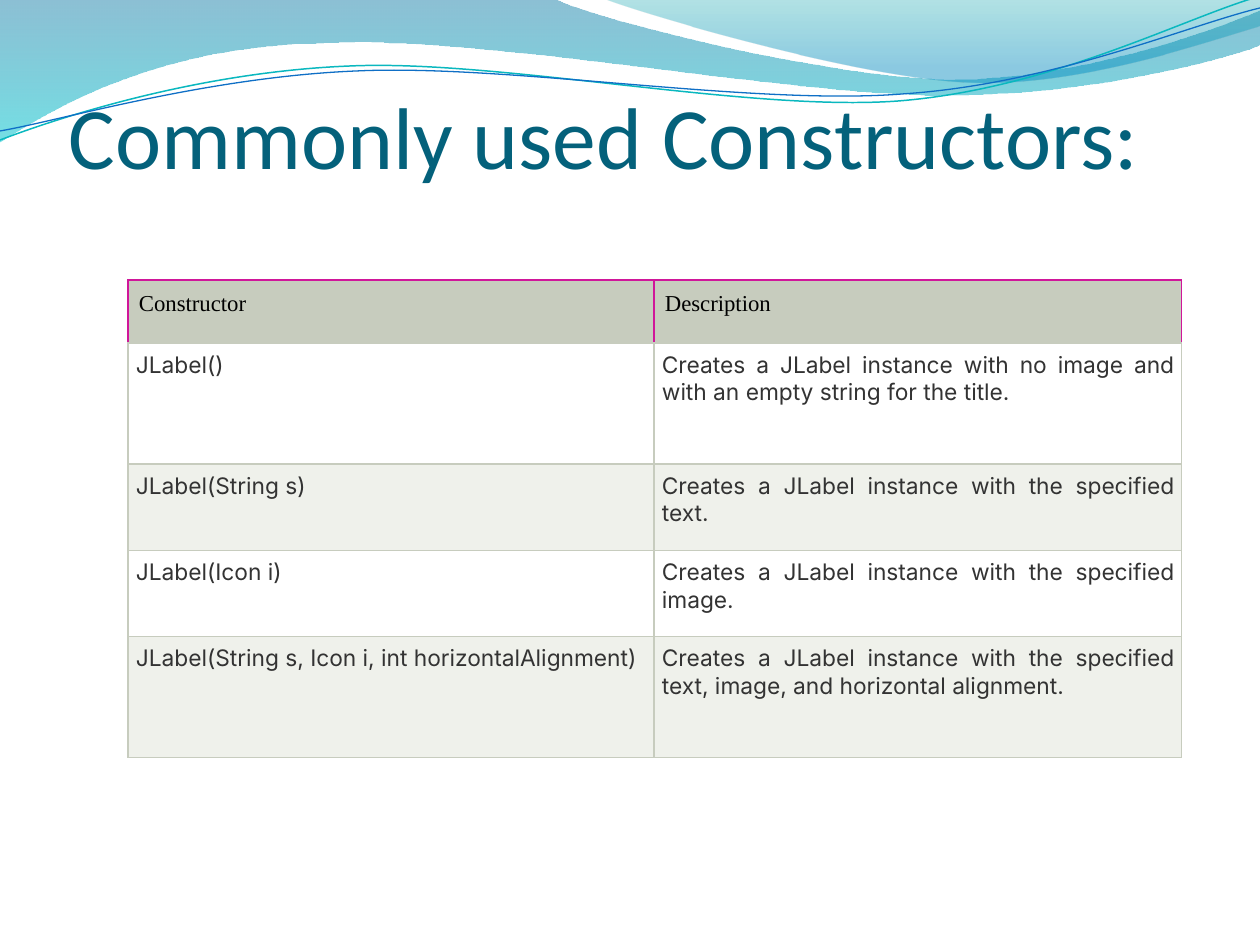
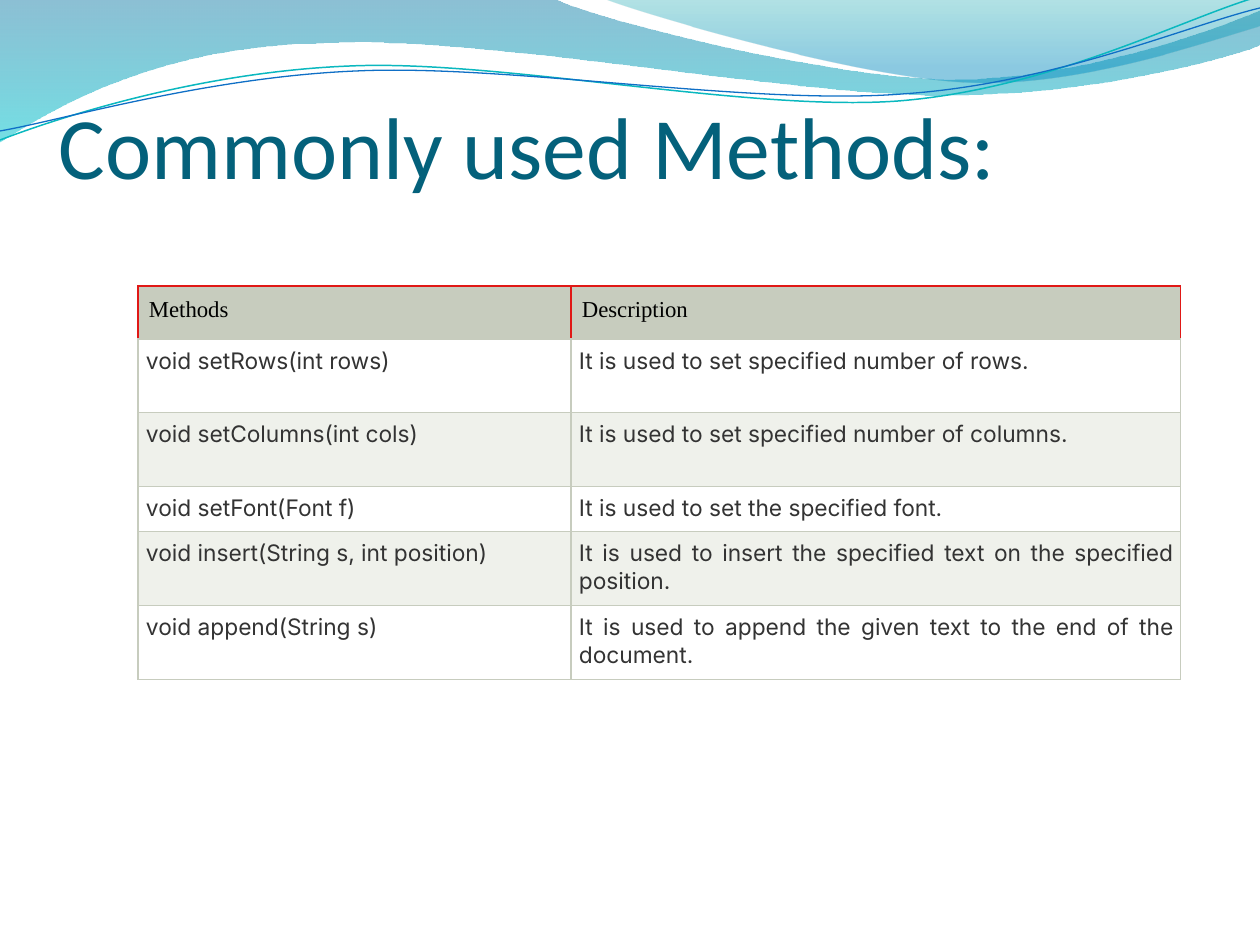
from lxml.etree import Element, SubElement
from pptx import Presentation
from pptx.dml.color import RGBColor
from pptx.enum.text import MSO_ANCHOR, PP_ALIGN
from pptx.oxml.ns import qn
from pptx.util import Emu, Pt

PX = 914400 / 126

TITLE = "04617B"
RULE = "C7CCBE"
HEADER_TEXT, BODY_TEXT = "000000", "333333"
ROW_FILLS = ("FFFFFF", "EFF1EB")

# Each outline: a start point, then lines (x, y) and cubic curves (x1, y1, x2, y2, x, y).
BAND = [(0, 0), (554, -1), (600, 21, 837, 79, 955, 79), (1075, 79, 1207, 33, 1260, 11),
        (1261, 45), (1238, 55, 1096, 96, 940, 95), (784, 95, 481, 35, 324, 43),
        (163, 45, 58, 105, -1, 142)]
SHEEN = [(604, -1), (641, 14, 859, 78, 969, 82), (1079, 87, 1211, 40, 1260, 26), (1260, 0)]
TEAL_WAVE = [(0, 140), (60, 117, 199, 72, 349, 66), (498, 59, 747, 112, 898, 101),
             (1050, 89, 1182, 19, 1257, -3)]
BLUE_WAVE = [(0, 131), (59, 121, 207, 77, 357, 71), (508, 64, 752, 106, 903, 94),
             (1053, 84, 1186, 26, 1260, 8)]


def px(n):
    return Emu(round(n * PX))


def rgb(hex_color):
    return RGBColor.from_string(hex_color)


class Deck:
    def __init__(self):
        self.prs = Presentation()
        self.prs.slide_width, self.prs.slide_height = px(1260), px(945)
        self.s = None

    def slide(self):
        """Start a slide with the shared waves along its top."""
        self.s = self.prs.slides.add_slide(self.prs.slide_layouts[6])
        self.gradient_area(BAND, [(0, "0074A1", 45), (1, "00C6CF", 55)])
        self.gradient_area(SHEEN, [(0, "00A1A9", 30), (0.8, "008BBF", 45)])
        self.wave(TEAL_WAVE, "0AB8BF", 0.85)
        self.wave(BLUE_WAVE, "0F6FC6", 0.75)

    def outline(self, outline, close):
        """Build a freeform through the end points, then bend its curved segments."""
        ends = [(px(segment[-2]), px(segment[-1])) for segment in outline]
        builder = self.s.shapes.build_freeform(*ends[0])
        builder.add_line_segments(ends[1:], close=close)
        sp = builder.convert_to_shape()
        sp.shadow.inherit = False
        lines = list(sp._element.iter(qn("a:lnTo")))
        for line, segment in zip(lines, outline[1:]):
            if len(segment) == 6:
                line.tag = qn("a:cubicBezTo")
                for i in (0, 1):
                    x, y = segment[2 * i:2 * i + 2]
                    line.insert(i, Element(qn("a:pt"), x=str(px(x) - sp.left),
                                           y=str(px(y) - sp.top)))
        return sp

    def gradient_area(self, outline, stops):
        """Draw a borderless area; stops are (position, colour, opacity in percent)."""
        sp = self.outline(outline, close=True)
        sp.line.fill.background()
        sp.fill.gradient()
        sp.fill.gradient_angle = 270
        for stop, (position, color, _) in zip(sp.fill.gradient_stops, stops):
            stop.position = position
            stop.color.rgb = rgb(color)
        grad = sp._element.spPr.find(qn("a:gradFill"))
        for clr, (_, _, opacity) in zip(grad.iter(qn("a:srgbClr")), stops):
            SubElement(clr, qn("a:alpha"), val=str(opacity * 1000))

    def wave(self, outline, color, width):
        sp = self.outline(outline, close=False)
        sp.fill.background()
        sp.line.color.rgb = rgb(color)
        sp.line.width = Pt(width)

    def text(self, p, text, font, size, color):
        r = p.add_run()
        r.text = text
        r.font.name, r.font.size = font, Pt(size)
        r.font.color.rgb = rgb(color)

    def title(self, x, y, text):
        tf = self.s.shapes.add_textbox(px(x), px(y), px(1134), px(158)).text_frame
        tf.word_wrap = True
        tf.vertical_anchor = MSO_ANCHOR.BOTTOM
        tf.margin_left = tf.margin_right = tf.margin_bottom = 0
        tf.margin_top = px(6)
        self.text(tf.paragraphs[0], text, "Calibri", 50, TITLE)

    def borders(self, cell, side_color, bottom_color):
        tc_pr = cell._tc.get_or_add_tcPr()
        for side in "LRTB":
            ln = SubElement(tc_pr, qn(f"a:ln{side}"), w=str(Pt(0.75)))
            fill = SubElement(ln, qn("a:solidFill"))
            SubElement(fill, qn("a:srgbClr"), val=bottom_color if side == "B" else side_color)

    def cell(self, cell, text, is_header, fill, accent):
        margin = px(11 if is_header else 8)
        cell.margin_left = cell.margin_right = margin
        cell.margin_top = cell.margin_bottom = margin
        self.borders(cell, accent if is_header else RULE, RULE)
        cell.fill.solid()
        cell.fill.fore_color.rgb = rgb(fill)
        p = cell.text_frame.paragraphs[0]
        if is_header:
            self.text(p, text, "Times New Roman", 13, HEADER_TEXT)
        else:
            p.alignment = PP_ALIGN.JUSTIFY
            self.text(p, text, "Inter", 13, BODY_TEXT)

    def table(self, x, y, widths, heights, accent, rows):
        """Draw a table whose first row is a header edged in the accent colour."""
        table = self.s.shapes.add_table(len(rows), len(widths), px(x), px(y),
                                        px(sum(widths)), px(sum(heights))).table
        table.first_row = table.horz_banding = False
        for column, width in zip(table.columns, widths):
            column.width = px(width)
        for i, (height, row) in enumerate(zip(heights, rows)):
            table.rows[i].height = px(height)
            fill = ROW_FILLS[(i - 1) % 2] if i else RULE
            for j, text in enumerate(row):
                self.cell(table.cell(i, j), text, i == 0, fill, accent)


def main():
    deck = Deck()

    deck.slide()
    deck.title(69, 29, "Commonly used Constructors:")
    deck.table(128, 280, (526, 528), (63, 121, 87, 86, 121), "D0169A", [
        ("Constructor", "Description"),
        ("JLabel()",
         "Creates a JLabel instance with no image and with an empty string for the title."),
        ("JLabel(String s)", "Creates a JLabel instance with the specified text."),
        ("JLabel(Icon i)", "Creates a JLabel instance with the specified image."),
        ("JLabel(String s, Icon i, int horizontalAlignment)",
         "Creates a JLabel instance with the specified text, image, and horizontal alignment."),
    ])

    deck.slide()
    deck.title(59, 39, "Commonly used Methods:")
    deck.table(138, 286, (433, 610), (53, 74, 74, 45, 74, 74), "E01816", [
        ("Methods", "Description"),
        ("void setRows(int rows)", "It is used to set specified number of rows."),
        ("void setColumns(int cols)", "It is used to set specified number of columns."),
        ("void setFont(Font f)", "It is used to set the specified font."),
        ("void insert(String s, int position)",
         "It is used to insert the specified text on the specified position."),
        ("void append(String s)",
         "It is used to append the given text to the end of the document."),
    ])

    deck.prs.save("out.pptx")


if __name__ == "__main__":
    main()
